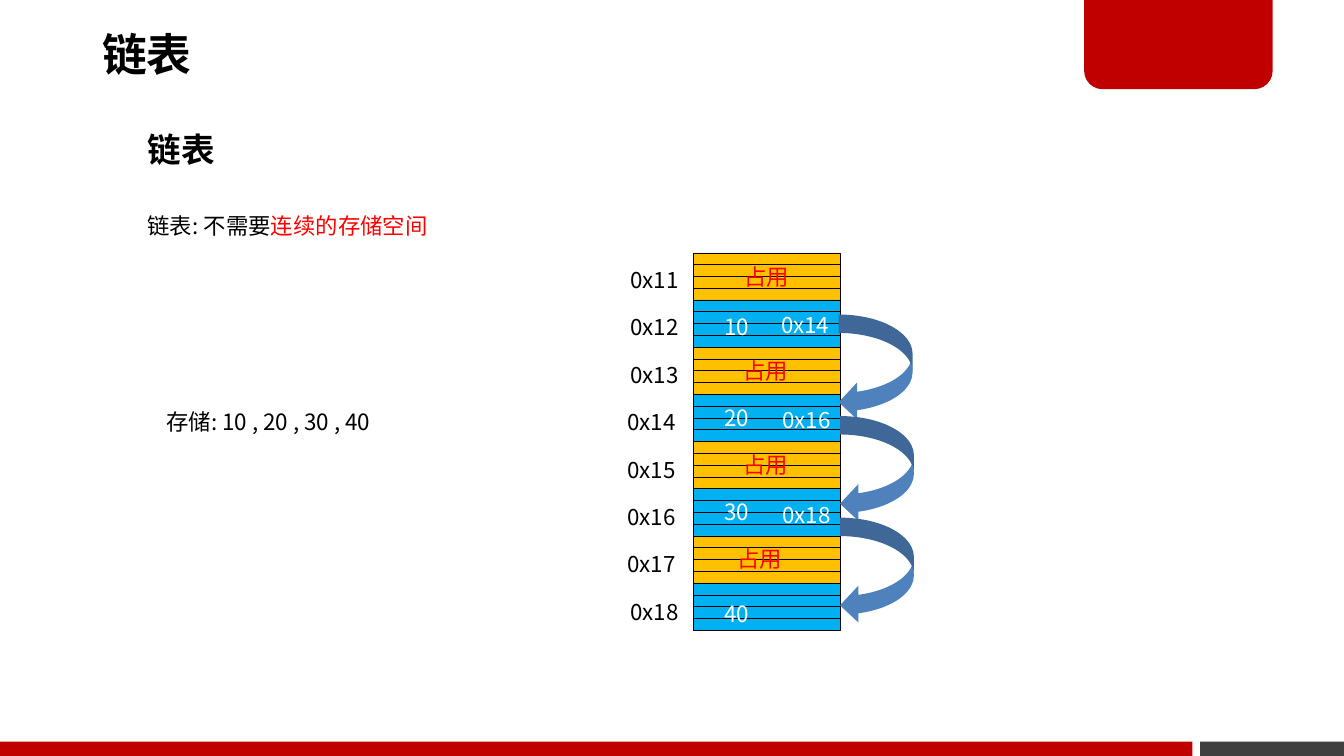
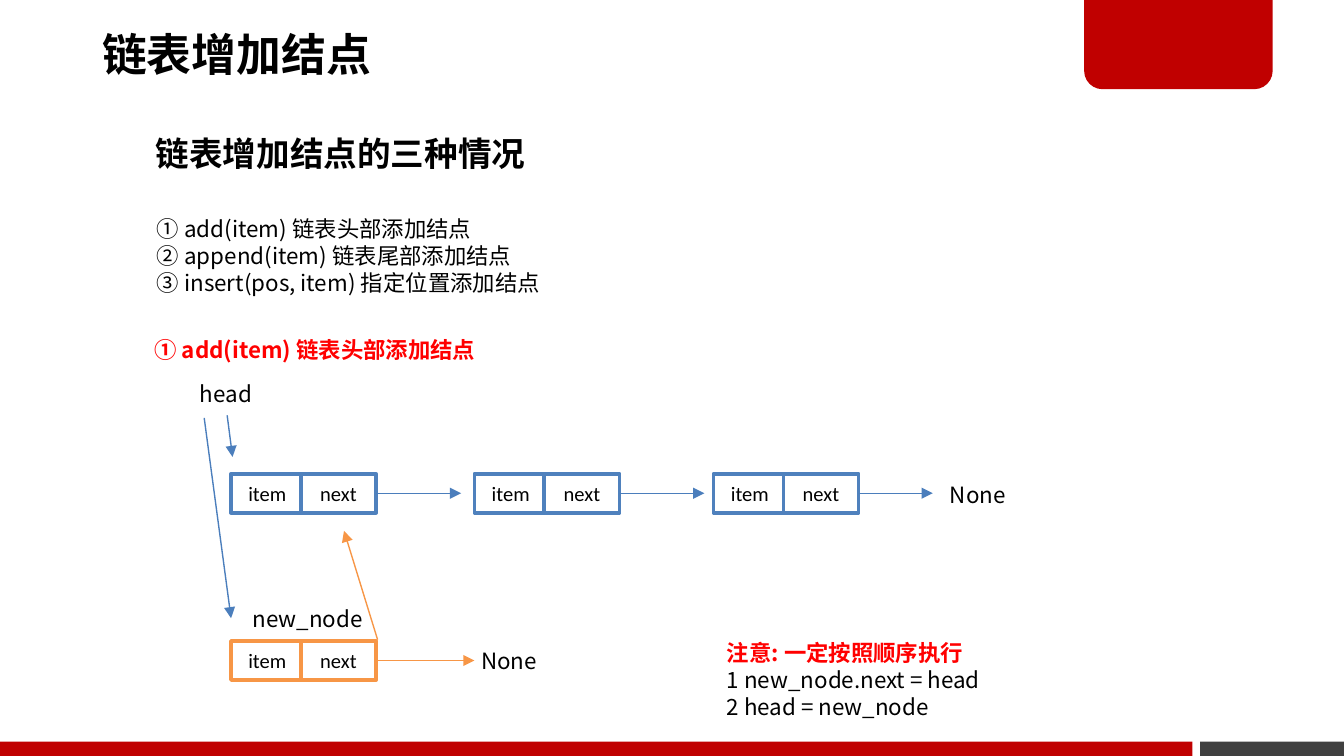
from typing import NamedTuple

from lxml import etree
from pptx import Presentation
from pptx.dml.color import RGBColor
from pptx.enum.shapes import MSO_CONNECTOR, MSO_SHAPE
from pptx.enum.text import MSO_ANCHOR, MSO_AUTO_SIZE, PP_ALIGN
from pptx.oxml.ns import qn
from pptx.shapes.autoshape import Shape
from pptx.slide import Slide
from pptx.text.text import TextFrame
from pptx.util import Pt

RECT = MSO_SHAPE.RECTANGLE
TAB = MSO_SHAPE.ROUND_2_SAME_RECTANGLE
CURVE = MSO_SHAPE.CURVED_LEFT_ARROW
LINE = MSO_CONNECTOR.STRAIGHT
MIDDLE = MSO_ANCHOR.MIDDLE
CENTER = PP_ALIGN.CENTER
GROW = MSO_AUTO_SIZE.SHAPE_TO_FIT_TEXT
RIGHT_SIDE = 3

COLORS = {
    "black": "000000", "white": "FFFFFF", "red": "FF0000",
    "band": "C00000", "gray": "404040", "used": "FFC000",
    "data": "00B0F0", "blue": "4F81BD", "arrow": "4B7EBC",
    "orange": "F79646",
}
SANS = "Noto Sans CJK SC"
LATIN = "Calibri"


class Box(NamedTuple):
    x: float
    y: float
    w: float
    h: float


class Label(NamedTuple):
    text: str
    box: Box
    color: str = "black"
    size: float = 12
    bold: bool = False
    wrap: bool = False


class Node(NamedTuple):
    x: float
    y: float
    color: str
    line: str
    tip: float


class Arrow(NamedTuple):
    x1: float
    y1: float
    x2: float
    y2: float
    color: str


def rgb(name: str) -> RGBColor:
    return RGBColor.from_string(COLORS[name])


def style(run, size: float, color: str, bold: bool = False,
          face: str = SANS) -> None:
    font = run.font
    font.size, font.bold, font.name = Pt(size), bold, face
    font.color.rgb = rgb(color)
    east = etree.SubElement(run._r.get_or_add_rPr(), qn("a:ea"))
    east.set("typeface", face)


def add_label(slide: Slide, label: Label) -> TextFrame:
    frame = slide.shapes.add_textbox(*map(Pt, label.box)).text_frame
    frame.word_wrap = label.wrap
    frame.auto_size = GROW
    frame.text = label.text
    for para in frame.paragraphs:
        para.line_spacing = Pt(label.size * 1.2)
        for run in para.runs:
            style(run, label.size, label.color, label.bold)
    return frame


def add_block(slide: Slide, kind: int, box: Box, fill: str,
              line: str = "", width: float = 0) -> Shape:
    shape = slide.shapes.add_shape(kind, *map(Pt, box))
    shape.shadow.inherit = False
    shape.fill.solid()
    shape.fill.fore_color.rgb = rgb(fill)
    if line:
        shape.line.color.rgb = rgb(line)
        shape.line.width = Pt(width)
    else:
        shape.line.fill.background()
    return shape


def add_arrow(slide: Slide, arrow: Arrow, start: Shape | None = None) -> None:
    """Draw an arrow, joined to the right side of start if given."""
    link = slide.shapes.add_connector(LINE, *map(Pt, arrow[:4]))
    link.line.color.rgb = rgb(arrow.color)
    link.line.width = Pt(0.75)
    tail = etree.SubElement(link.line._get_or_add_ln(), qn("a:tailEnd"))
    tail.set("type", "triangle")
    etree.SubElement(link._element.spPr, qn("a:effectLst"))
    if start is not None:
        link.begin_connect(start, RIGHT_SIDE)


def add_node(slide: Slide, node: Node) -> None:
    """Draw an item/next pair and the arrow that leaves it."""
    high = 20.9
    for word, shift, wide in (("item", 0, 38.9), ("next", 37.4, 40.3)):
        box = Box(node.x + shift, node.y, wide, high)
        part = add_block(slide, RECT, box, "white", node.color, 2)
        frame = part.text_frame
        frame.vertical_anchor = MIDDLE
        frame.text = word
        para = frame.paragraphs[0]
        para.alignment = CENTER
        style(para.runs[0], 11, "black", face=LATIN)
    mid = node.y + high / 2
    add_arrow(slide, Arrow(box.x + box.w, mid, node.tip, mid, node.line), part)


def add_page(deck, title: str) -> Slide:
    slide = deck.slides.add_slide(deck.slide_layouts[6])
    add_block(slide, RECT, Box(643, 397.4, 77, 7.6), "gray")
    tab = add_block(slide, TAB, Box(580.8, -1.4, 101, 49.2), "band")
    tab.adjustments[0], tab.adjustments[1] = 0, 0.2
    add_block(slide, RECT, Box(0, 397.4, 638.8, 7.6), "band")

    frame = slide.shapes.add_textbox(*map(Pt, (49.7, -1.4, 424, 64))).text_frame
    frame.word_wrap = True
    frame.vertical_anchor = MIDDLE
    frame.margin_left = frame.margin_right = Pt(5)
    frame.margin_top = frame.margin_bottom = Pt(2.9)
    frame.text = title
    para = frame.paragraphs[0]
    para.line_spacing = 0.9
    style(para.runs[0], 24, "black", True)
    return slide


def build_memory(deck) -> None:
    slide = add_page(deck, "链表")
    add_label(slide, Label("链表", Box(72, 65.5, 51, 28.8), size=18, bold=True))
    add_label(slide, Label("存储: 10 , 20 , 30 , 40", Box(82, 215.3, 132, 21.6)))

    strip = 6.32
    for i in range(32):
        fill = "data" if i // 4 % 2 else "used"
        box = Box(371.5, 135.4 + i * strip, 78.5, strip)
        add_block(slide, RECT, box, fill, "black", 0.25)

    for i in range(8):
        left = 329 if 3 <= i <= 6 else 330.5
        box = Box(left, 139 + i * 25.4, 41.8, 21.6)
        add_label(slide, Label(f"0x{11 + i}", box))
    for i, left in enumerate((391.7, 391, 391, 388)):
        box = Box(left, 137.5 + i * 50.4, 38.9, 21.6)
        add_label(slide, Label("占用", box, "red"))
    for i, top in enumerate((164.2, 213.1, 263.5, 318.2), 1):
        add_label(slide, Label(f"{i}0", Box(380.9, top, 28.8, 21.6), "white"))

    for i, left in enumerate((449.3, 450, 450)):
        add_block(slide, CURVE, Box(left, 168.5 + i * 54.4, 39.6, 56.9), "blue")
        box = Box(left - 38, 163.4 + i * 50.8, 41.8, 21.6)
        add_label(slide, Label(f"0x{14 + 2 * i}", box, "white"))

    box = Box(72, 110.2, 166.3, 21.6)
    frame = add_label(slide, Label("链表: 不需要", box, wrap=True))
    run = frame.paragraphs[0].add_run()
    run.text = "连续的存储空间"
    style(run, 12, "red")


def build_insert(deck) -> None:
    slide = add_page(deck, "链表增加结点")
    cases = ("① add(item) 链表头部添加结点\n"
             "② append(item) 链表尾部添加结点\n"
             "③ insert(pos, item) 指定位置添加结点")
    labels = (
        Label("链表增加结点的三种情况", Box(76.3, 67.7, 214.6, 51), size=18,
              bold=True),
        Label(cases, Box(77, 111.6, 547, 65.5), wrap=True),
        Label("① add(item) 链表头部添加结点", Box(75.6, 176.4, 190.8, 36),
              "red", bold=True),
        Label("head", Box(100, 200.2, 43.2, 21.6)),
        Label("None", Box(501.8, 254.2, 46, 21.6)),
        Label("None", Box(250.6, 343.4, 46, 21.6)),
        Label("new_node", Box(128.2, 320.4, 73.4, 21.6)),
    )
    for label in labels:
        add_label(slide, label)

    nodes = (
        Node(123.8, 253.8, "blue", "arrow", 247),
        Node(254.2, 253.8, "blue", "arrow", 377.3),
        Node(382.3, 253.8, "blue", "arrow", 499.7),
        Node(123.8, 343.4, "orange", "orange", 254.2),
    )
    for node in nodes:
        add_node(slide, node)

    arrows = (
        Arrow(121.7, 222.5, 124.6, 244.8, "arrow"),
        Arrow(109.4, 223.9, 123.8, 331.2, "arrow"),
        Arrow(202.3, 342.7, 184.3, 284.4, "orange"),
    )
    for arrow in arrows:
        add_arrow(slide, arrow)

    steps = "注意: 一定按照顺序执行\n1 new_node.next = head\n2 head = new_node"
    frame = add_label(slide, Label(steps, Box(382.3, 339, 157, 51)))
    font = frame.paragraphs[0].runs[0].font
    font.bold = True
    font.color.rgb = rgb("red")


def main() -> None:
    deck = Presentation()
    deck.slide_width, deck.slide_height = Pt(720), Pt(405)
    build_memory(deck)
    build_insert(deck)
    deck.save("out.pptx")


if __name__ == "__main__":
    main()
